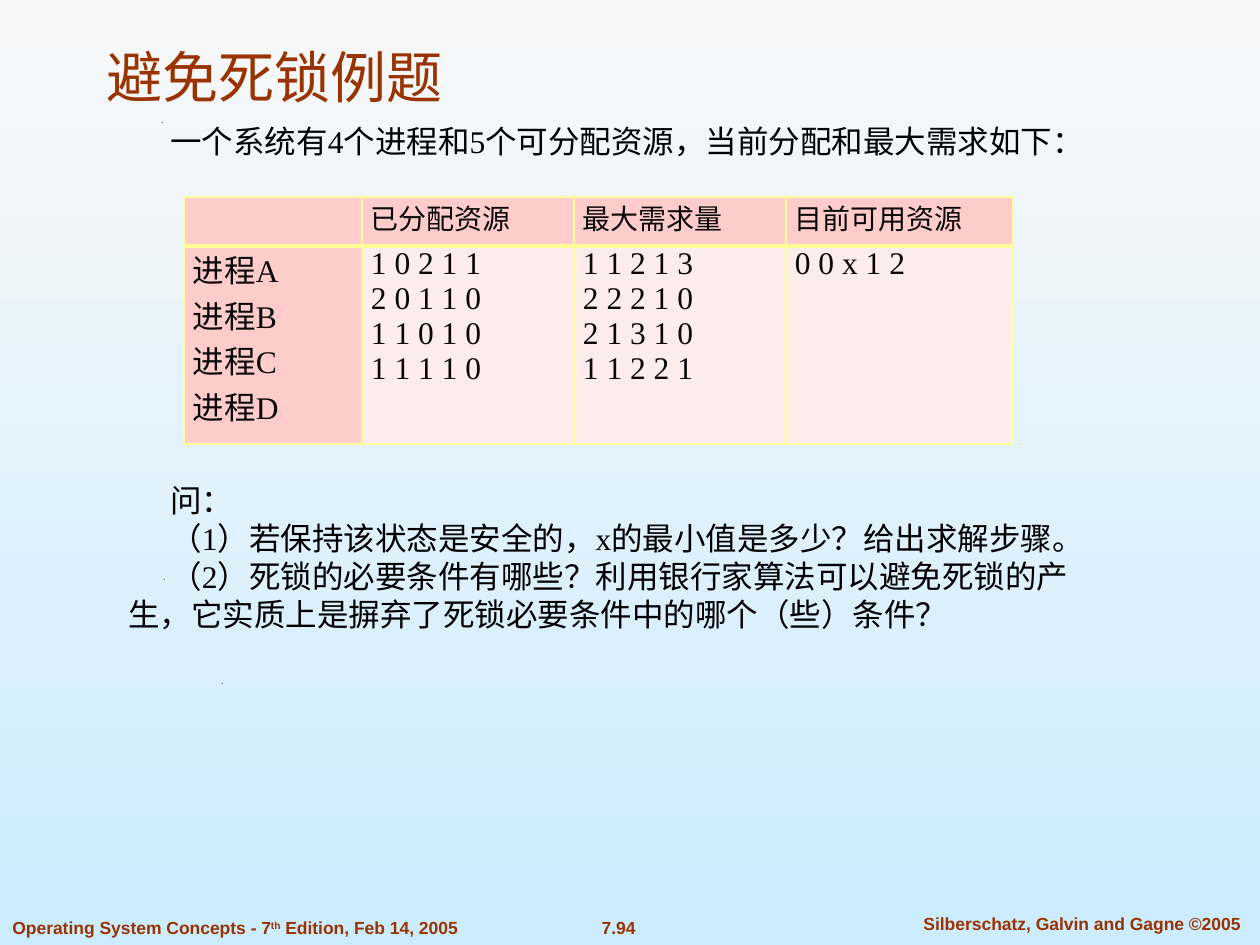
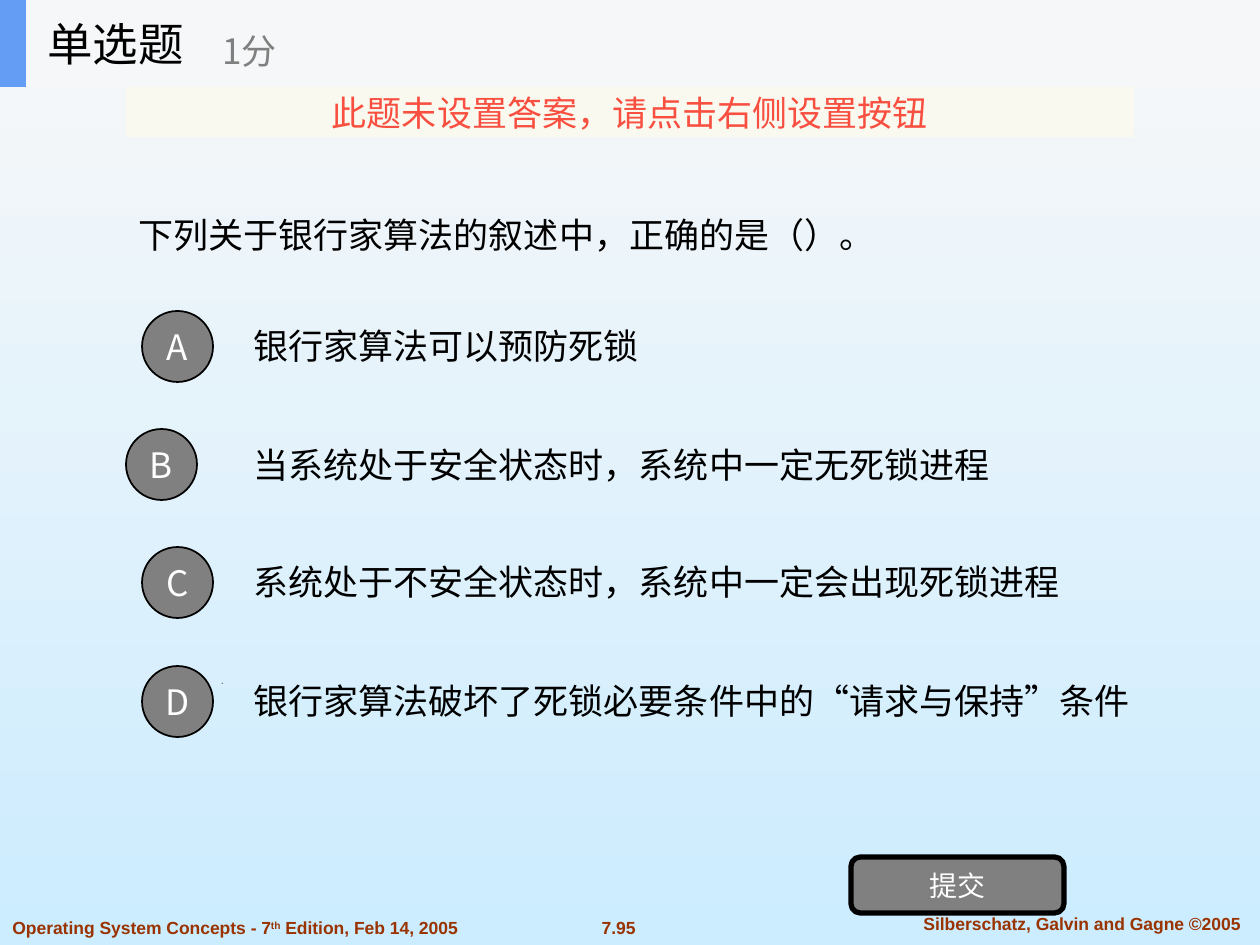
from lxml import etree
from pptx import Presentation
from pptx.dml.color import RGBColor
from pptx.enum.shapes import MSO_SHAPE as Shape
from pptx.enum.text import MSO_ANCHOR as Anchor, PP_ALIGN as Align
from pptx.oxml.ns import qn
from pptx.util import Emu, Pt

EMU_PER_PX = 914400 / 126
PAGE_W, PAGE_H = 1260, 945

BLACK = RGBColor(0x00, 0x00, 0x00)
WHITE = RGBColor(0xFF, 0xFF, 0xFF)
GREY = RGBColor(0x80, 0x80, 0x80)
INK = RGBColor(0x08, 0x08, 0x08)
RUST = RGBColor(0x99, 0x33, 0x00)
SKY_TOP = RGBColor(0xF8, 0xF8, 0xF8)
SKY_BOTTOM = RGBColor(0xCC, 0xEC, 0xFF)
PINK = RGBColor(0xFF, 0xCC, 0xCC)
PALE_PINK = RGBColor(0xFF, 0xEC, 0xEC)
YELLOW = RGBColor(0xFF, 0xFF, 0x99)
BAR = RGBColor(0xF6, 0xF7, 0xF8)
BLUE = RGBColor(0x63, 0x9E, 0xF4)
CREAM = RGBColor(0xFB, 0xFA, 0xEF)
RED = RGBColor(0xF8, 0x4F, 0x41)

SANS, SERIF, CJK = "Arial", "Times New Roman", "Noto Sans CJK SC"

# Text formats
FOOTER = dict(name=SANS, size=Pt(10), bold=True, color=RUST)
TITLE = dict(name=SANS, size=Pt(32), bold=False, color=RUST)
BODY = dict(name=SERIF, size=Pt(18), bold=False, color=BLACK)
CELL = dict(BODY, color=INK)
HEADER_CELL = dict(CELL, name=CJK, size=Pt(16))
QUIZ = dict(name=CJK, size=Pt(20), bold=False, color=BLACK)
BADGE = dict(QUIZ, color=WHITE)

BODY_PARA = dict(line_spacing=Pt(21.7))
CENTERED = dict(alignment=Align.CENTER)


def px(length):
    return Emu(round(length * EMU_PER_PX))


def place(box):
    return [px(length) for length in box]


def set_all(target, values):
    for name, value in values.items():
        setattr(target, name, value)


def add_span(para, text, style, baseline=0):
    span = para.add_run()
    span.text = text
    set_all(span.font, {k: v for k, v in style.items() if k != "color"})
    span.font.color.rgb = style["color"]
    props = span._r.get_or_add_rPr()
    etree.SubElement(props, qn("a:ea"), typeface=CJK)
    if baseline:
        props.set("baseline", str(baseline))


def write(frame, lines, style, para_values=None, indent=0):
    """Fill a frame; a line is a string or a list of (text, baseline) spans."""
    for number, line in enumerate(lines):
        para = frame.add_paragraph() if number else frame.paragraphs[0]
        set_all(para, para_values or {})
        if indent:
            para._p.get_or_add_pPr().set("indent", str(px(indent)))
        for text, baseline in [(line, 0)] if isinstance(line, str) else line:
            add_span(para, text, style, baseline)


def add_text(shapes, box, lines, style, para_values=None, indent=0, anchor=Anchor.TOP):
    frame = shapes.add_textbox(*place(box)).text_frame
    set_all(frame, dict(word_wrap=True, vertical_anchor=anchor))
    write(frame, lines, style, para_values, indent)


def paint(shape, fill, line=None, width=1):
    shape.shadow.inherit = False
    shape.fill.solid()
    shape.fill.fore_color.rgb = fill
    if line is None:
        shape.line.fill.background()
    else:
        shape.line.color.rgb = line
        shape.line.width = Pt(width)


def add_block(shapes, kind, box, fill, line=None, width=1, text=None, style=BADGE):
    shape = shapes.add_shape(kind, *place(box))
    paint(shape, fill, line, width)
    if text:
        frame = shape.text_frame
        set_all(frame, dict(margin_left=0, margin_right=0, margin_top=0, margin_bottom=0,
                            word_wrap=True, vertical_anchor=Anchor.MIDDLE))
        write(frame, [text], style, CENTERED)
    return shape


def set_background(master):
    fill = master.background.fill
    fill.gradient()
    fill.gradient_angle = 270
    for stop, color, position in zip(fill.gradient_stops, (SKY_TOP, SKY_BOTTOM), (0, 1)):
        stop.color.rgb = color
        stop.position = position


def add_page(deck, number):
    """Blank page with the specks and footers that every page shares."""
    page = deck.slides.add_slide(deck.slide_layouts[6])
    for x, y in ((162, 122), (164, 579), (222, 683), (712, 580)):
        builder = page.shapes.build_freeform(x, y, scale=EMU_PER_PX)
        builder.add_line_segments([(x + 1, y), (x, y + 1)], close=True)
        paint(builder.convert_to_shape(), BLACK)
    edition = [("Operating System Concepts - 7", 0), ("th", 30000), (" Edition, Feb 14, 2005", 0)]
    add_text(page.shapes, (0, 911, 528, 34), [edition], FOOTER)
    add_text(page.shapes, (585, 911, 67, 34), [number], FOOTER, CENTERED)
    add_text(page.shapes, (895, 907, 374, 34), ["Silberschatz, Galvin and Gagne ©2005"],
             FOOTER, CENTERED)
    return page


def set_borders(cell, widths):
    props = cell._tc.get_or_add_tcPr()
    for index, (side, width) in enumerate(widths.items()):
        line = etree.Element(qn("a:ln" + side), w=str(Pt(width)))
        fill = etree.SubElement(line, qn("a:solidFill"))
        etree.SubElement(fill, qn("a:srgbClr"), val=str(YELLOW))
        props.insert(index, line)


def add_resource_table(page, left, top):
    columns = [
        (178, "", ["进程A", "进程B", "进程C", "进程D"]),
        (212, "已分配资源", ["1 0 2 1 1", "2 0 1 1 0", "1 1 0 1 0", "1 1 1 1 0"]),
        (212, "最大需求量", ["1 1 2 1 3", "2 2 2 1 0", "2 1 3 1 0", "1 1 2 2 1"]),
        (227, "目前可用资源", ["0 0 x 1 2"]),
    ]
    heights = (49, 198)
    box = (left, top, sum(column[0] for column in columns), sum(heights))
    table = page.shapes.add_table(2, len(columns), *place(box)).table
    set_all(table, dict(first_row=False, horz_banding=False))
    for row, height in zip(table.rows, heights):
        row.height = px(height)
    for index, (width, heading, values) in enumerate(columns):
        table.columns[index].width = px(width)
        for row, lines in enumerate(([heading], values)):
            cell = table.cell(row, index)
            set_all(cell, dict(margin_left=px(9), margin_right=px(9),
                               margin_top=0, margin_bottom=0))
            cell.fill.solid()
            cell.fill.fore_color.rgb = PALE_PINK if row and index else PINK
            set_borders(cell, dict(L=1, R=1, T=3 if row else 1, B=1 if row else 3))
            spacing = dict(line_spacing=Pt(20)) if row and index else {}
            if lines != [""]:
                write(cell.text_frame, lines, CELL if row else HEADER_CELL, spacing)


def build_exercise(deck):
    page = add_page(deck, "7.94")
    add_text(page.shapes, (94, 32, 1113, 84), ["避免死锁例题"], TITLE, anchor=Anchor.BOTTOM)
    add_text(page.shapes, (116, 116, 980, 50),
             ["一个系统有4个进程和5个可分配资源，当前分配和最大需求如下："], BODY, BODY_PARA, 42)
    add_resource_table(page, 184, 197)
    questions = [
        "问：",
        "（1）若保持该状态是安全的，x的最小值是多少？给出求解步骤。",
        "（2）死锁的必要条件有哪些？利用银行家算法可以避免死锁的产生，"
        "它实质上是摒弃了死锁必要条件中的哪个（些）条件？",
    ]
    add_text(page.shapes, (116, 475, 980, 165), questions, BODY, BODY_PARA, 42)


def add_quiz_header(page, height):
    shapes = page.shapes.add_group_shape().shapes
    add_block(shapes, Shape.RECTANGLE, (0, 0, PAGE_W, height), BAR)
    add_block(shapes, Shape.RECTANGLE, (0, 0, 26, height), BLUE)
    add_text(shapes, (35, 0, 262, height), ["单选题"], dict(QUIZ, size=Pt(26)),
             anchor=Anchor.MIDDLE)
    add_text(shapes, (210, 15, 315, height - 16), ["1分"], dict(QUIZ, color=GREY),
             anchor=Anchor.MIDDLE)


def add_option(page, top, badge_left, letter, text):
    add_text(page.shapes, (241, top, 946, 88), [text], QUIZ, anchor=Anchor.MIDDLE)
    add_block(page.shapes, Shape.OVAL, (badge_left, top + 9, 71, 71), GREY, BLACK, text=letter)


def build_quiz(deck):
    page = add_page(deck, "7.95")
    add_text(page.shapes, (126, 87, 1008, 295), ["下列关于银行家算法的叙述中，正确的是（）。"],
             QUIZ, anchor=Anchor.MIDDLE)
    # Answer options
    options = [
        (142, "A", "银行家算法可以预防死锁"),
        (126, "B", "当系统处于安全状态时，系统中一定无死锁进程"),
        (142, "C", "系统处于不安全状态时，系统中一定会出现死锁进程"),
        (142, "D", "银行家算法破坏了死锁必要条件中的“请求与保持”条件"),
    ]
    for index, option in enumerate(options):
        add_option(page, 302 + index * 355 // 3, *option)
    # Submit button, header and warning banner
    add_block(page.shapes, Shape.ROUNDED_RECTANGLE, (851, 857, 213, 56), GREY, BLACK, 3,
              "提交", dict(BADGE, size=Pt(16)))
    add_quiz_header(page, 87)
    banner = add_block(page.shapes, Shape.RECTANGLE, (126, 87, 1008, 50), CREAM,
                       text="此题未设置答案，请点击右侧设置按钮", style=dict(QUIZ, color=RED))
    color = banner._element.spPr.find(qn("a:solidFill")).find(qn("a:srgbClr"))
    etree.SubElement(color, qn("a:alpha"), val="90000")


def main():
    deck = Presentation()
    set_all(deck, dict(slide_width=px(PAGE_W), slide_height=px(PAGE_H)))
    set_background(deck.slide_master)
    build_exercise(deck)
    build_quiz(deck)
    deck.save("out.pptx")


if __name__ == "__main__":
    main()
